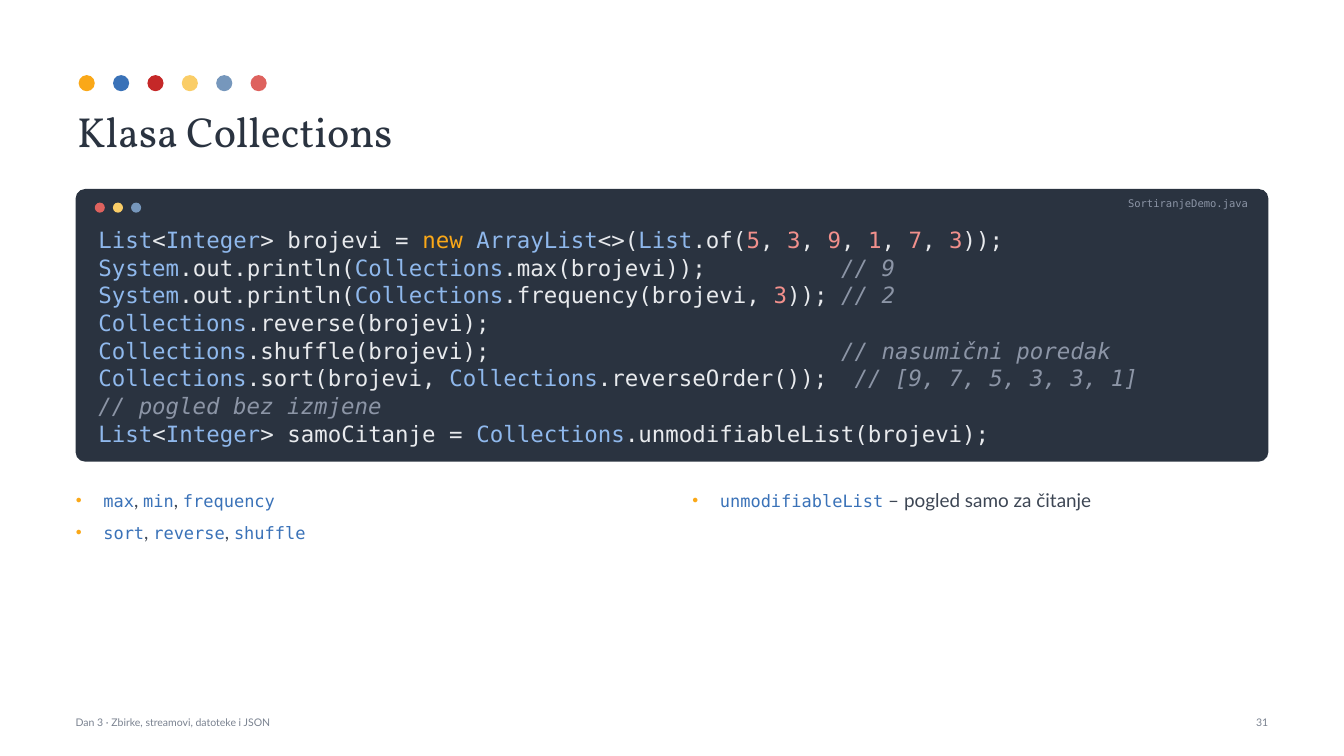
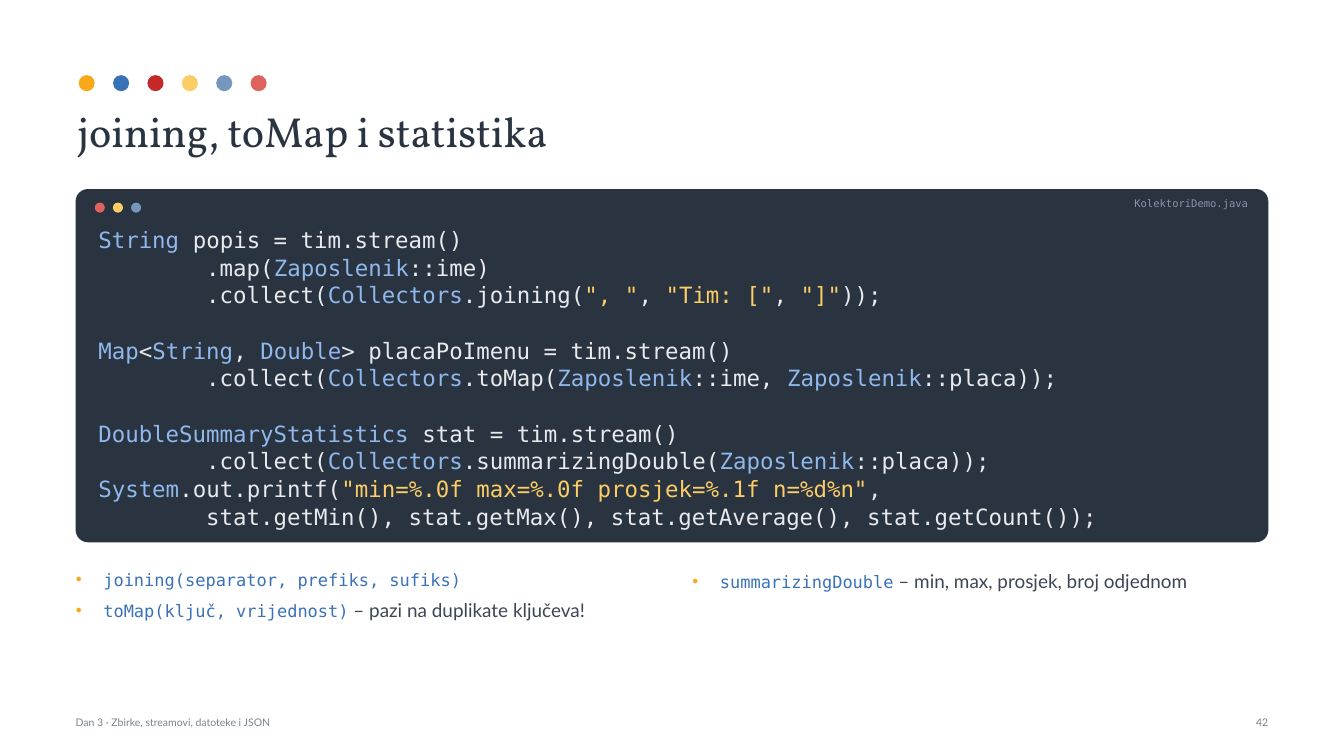
from lxml.etree import SubElement
from pptx import Presentation
from pptx.dml.color import RGBColor
from pptx.enum.shapes import MSO_SHAPE as SHAPE
from pptx.enum.text import MSO_ANCHOR as ANCHOR, MSO_AUTO_SIZE as AUTO, PP_ALIGN as ALIGN
from pptx.oxml.ns import qn
from pptx.util import Pt

SLIDES = [
    {
        "title": "Klasa Collections",
        "file": "SortiranjeDemo.java",
        "code": """\
List<Integer> brojevi = new ArrayList<>(List.of(5, 3, 9, 1, 7, 3));
System.out.println(Collections.max(brojevi));          // 9
System.out.println(Collections.frequency(brojevi, 3)); // 2
Collections.reverse(brojevi);
Collections.shuffle(brojevi);                          // nasumični poredak
Collections.sort(brojevi, Collections.reverseOrder());  // [9, 7, 5, 3, 3, 1]
// pogled bez izmjene
List<Integer> samoCitanje = Collections.unmodifiableList(brojevi);""",
        "columns": [
            ["`max`, `min`, `frequency`", "`sort`, `reverse`, `shuffle`"],
            ["`unmodifiableList` – pogled samo za čitanje"],
        ],
        "number": "31",
    },
    {
        "title": "joining, toMap i statistika",
        "file": "KolektoriDemo.java",
        "code": """\
String popis = tim.stream()
        .map(Zaposlenik::ime)
        .collect(Collectors.joining(", ", "Tim: [", "]"));

Map<String, Double> placaPoImenu = tim.stream()
        .collect(Collectors.toMap(Zaposlenik::ime, Zaposlenik::placa));

DoubleSummaryStatistics stat = tim.stream()
        .collect(Collectors.summarizingDouble(Zaposlenik::placa));
System.out.printf("min=%.0f max=%.0f prosjek=%.1f n=%d%n",
        stat.getMin(), stat.getMax(), stat.getAverage(), stat.getCount());""",
        "columns": [
            ["`joining(separator, prefiks, sufiks)`",
             "`toMap(ključ, vrijednost)` – pazi na duplikate ključeva!"],
            ["`summarizingDouble` – min, max, prosjek, broj odjednom"],
        ],
        "number": "42",
    },
]
FOOTER = "Dan 3 · Zbirke, streamovi, datoteke i JSON"

PX = 9144
SERIF, SANS, MONO = "Vollkorn", "Lato", "DejaVu Sans Mono"
INK, BODY, MUTED = "2A3340", "3D4654", "7A8290"
ORANGE, BLUE, RED = "FAA818", "3A72B8", "C52828"
YELLOW, STEEL, CORAL = "FACD67", "7697BC", "DE625E"
TITLE_DOTS = [ORANGE, BLUE, RED, YELLOW, STEEL, CORAL]
WINDOW_DOTS = [CORAL, YELLOW, STEEL]
SYNTAX = {"plain": "E8EAED", "type": "8FB8EC", "keyword": ORANGE,
          "number": "F2908C", "string": YELLOW, "comment": "8C95A6"}
KEYWORDS = {"new"}
LEFT, RIGHT, PANEL_TOP = 150, 2516, 375
COLUMN_WIDTH = 1143
BODY_BOTTOM = 1370


def rgb(value):
    return RGBColor.from_string(value)


def place(sp, x, y, w, h):
    sp.left, sp.top, sp.width, sp.height = (round(v * PX) for v in (x, y, w, h))


def add_shape(shapes, kind, x, y, w, h, color):
    sp = shapes.add_shape(kind, 0, 0, 0, 0)
    place(sp, x, y, w, h)
    sp.shadow.inherit = False
    sp.fill.solid()
    sp.fill.fore_color.rgb = rgb(color)
    sp.line.fill.background()
    return sp


def add_dots(shapes, colors, x, y, size, pitch):
    for i, color in enumerate(colors):
        add_shape(shapes, SHAPE.OVAL, x + i * pitch, y, size, size, color)


def setup_frame(sp, inset=0):
    tf = sp.text_frame
    tf.word_wrap = True
    tf.auto_size = AUTO.NONE
    tf.vertical_anchor = ANCHOR.TOP
    tf.margin_left = tf.margin_right = tf.margin_top = tf.margin_bottom = inset * PX
    return tf


def add_frame(slide, x, y, w, h):
    sp = slide.shapes.add_textbox(0, 0, 0, 0)
    place(sp, x, y, w, h)
    return setup_frame(sp)


def add_run(p, text, font, size, color, italic=False):
    r = p.add_run()
    r.text = text
    r.font.name, r.font.size = font, Pt(size)
    r.font.color.rgb = rgb(color)
    if italic:
        r.font.italic = True


def paragraphs(tf, items):
    for i, item in enumerate(items):
        yield (tf.add_paragraph() if i else tf.paragraphs[0]), item


def add_label(slide, text, x, y, w, font, color, align=ALIGN.LEFT):
    p = add_frame(slide, x, y, w, 45).paragraphs[0]
    p.alignment = align
    add_run(p, text, font, 15, color)


def next_token(text):
    if text.startswith("//"):
        return "comment", text
    if text[0] == '"':
        return "string", text[:text.index('"', 1) + 1]
    if not text[0].isalnum():
        return "plain", text[0]
    end = 1
    while end < len(text) and text[end].isalnum():
        end += 1
    word = text[:end]
    if word in KEYWORDS:
        return "keyword", word
    if word.isdigit():
        return "number", word
    return ("type" if word[0].isupper() else "plain"), word


def highlight(line):
    tokens = []
    while line:
        kind, text = next_token(line)
        line = line[len(text):]
        if tokens and tokens[-1][0] == kind:
            tokens[-1][1] += text
        else:
            tokens.append([kind, text])
    return tokens


def add_title(slide, text):
    add_dots(slide.shapes.add_group_shape().shapes, TITLE_DOTS, 156, 149, 32, 68.2)
    sp = slide.shapes.title
    place(sp, 143, 200, 2380, 120)
    p = setup_frame(sp, 10).paragraphs[0]
    p.alignment = ALIGN.LEFT
    p.space_before = Pt(0)
    add_run(p, text, SERIF, 60, INK)


def add_code_panel(slide, file_name, code):
    lines = code.split("\n")
    height = round(114 + len(lines) * 160 / 3)
    panel = add_shape(slide.shapes, SHAPE.ROUNDED_RECTANGLE,
                      LEFT, PANEL_TOP, RIGHT - LEFT, height, INK)
    panel.adjustments[0] = 0.035
    add_dots(slide.shapes, WINDOW_DOTS, 188, PANEL_TOP + 27, 20, 36)
    add_label(slide, file_name, 350, PANEL_TOP + 15, 2126, MONO,
              SYNTAX["comment"], ALIGN.RIGHT)
    tf = add_frame(slide, LEFT + 45, PANEL_TOP + 72, 2306, height - 77)
    for p, line in paragraphs(tf, lines):
        p.line_spacing = 1.03
        for kind, text in highlight(line or " "):
            add_run(p, text, MONO, 32, SYNTAX[kind], kind == "comment")
    return PANEL_TOP + height


def add_bullet(p):
    pPr = p._p.get_or_add_pPr()
    pPr.set("marL", str(55 * PX))
    pPr.set("indent", str(-55 * PX))
    color = SubElement(pPr, qn("a:buClr"))
    SubElement(color, qn("a:srgbClr"), val=ORANGE)
    SubElement(pPr, qn("a:buSzPct"), val="62000")
    SubElement(pPr, qn("a:buChar"), char="●")


def add_bullets(sp, items, x, y):
    place(sp, x, y, COLUMN_WIDTH, BODY_BOTTOM - y)
    for p, item in paragraphs(setup_frame(sp), items):
        add_bullet(p)
        p.line_spacing = 1.08
        p.space_before, p.space_after = Pt(0), Pt(10)
        for i, part in enumerate(item.split("`")):
            if part and i % 2:
                add_run(p, part, MONO, 24.3, BLUE)
            elif part:
                add_run(p, part, SANS, 27, BODY)


def add_footer(slide, number):
    add_label(slide, FOOTER, LEFT, 1420, 1600, SANS, MUTED)
    add_label(slide, number, RIGHT - 250, 1420, 250, SANS, MUTED, ALIGN.RIGHT)


def main():
    prs = Presentation()
    prs.slide_width, prs.slide_height = 2666 * PX, 1500 * PX
    two_content = prs.slide_layouts[3]
    for content in SLIDES:
        slide = prs.slides.add_slide(two_content)
        slide.background.fill.solid()
        slide.background.fill.fore_color.rgb = rgb("FFFFFF")
        add_title(slide, content["title"])
        bottom = add_code_panel(slide, content["file"], content["code"])
        bodies = list(slide.placeholders)[1:]
        for sp, items, x in zip(bodies, content["columns"], (LEFT, RIGHT - COLUMN_WIDTH)):
            add_bullets(sp, items, x, bottom + 50)
        add_footer(slide, content["number"])
    prs.save("out.pptx")


if __name__ == "__main__":
    main()
